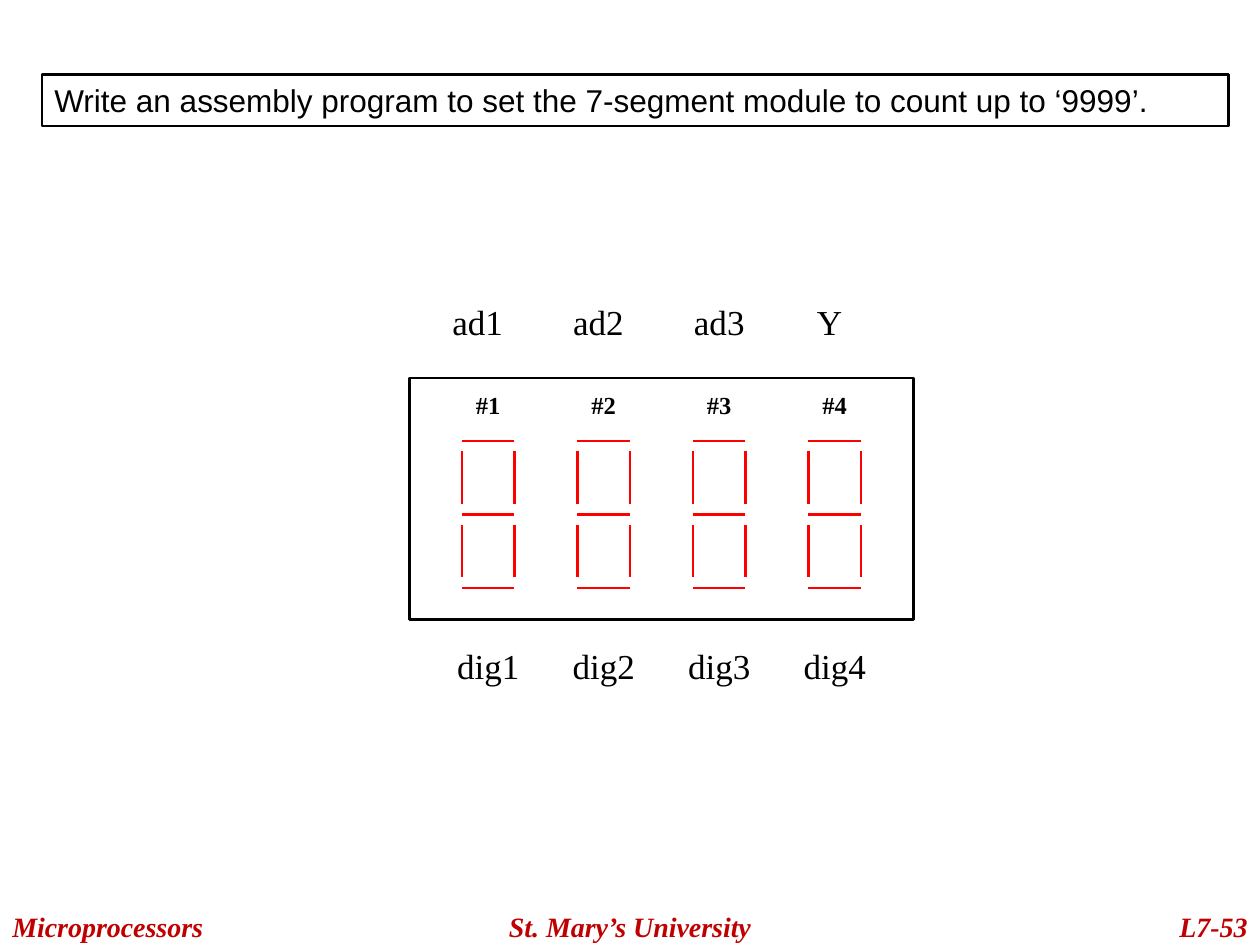
from dataclasses import dataclass

from lxml import etree
from pptx import Presentation
from pptx.dml.color import RGBColor
from pptx.enum import shapes, text
from pptx.oxml.ns import qn
from pptx.util import Pt


@dataclass(frozen=True)
class Theme:
    black: RGBColor = RGBColor(0, 0, 0)
    white: RGBColor = RGBColor(255, 255, 255)
    segment: RGBColor = RGBColor(255, 0, 0)
    footer: RGBColor = RGBColor(192, 0, 0)
    serif: str = "Times New Roman"
    sans: str = "Arial"
    label_size: int = 20
    question_size: int = 18
    footer_size: int = 16
    number_size: int = 14
    line_width: float = 1.5


THEME = Theme()
ALIGN = text.PP_ALIGN


def write(sp, words, size, color=THEME.black, name=THEME.serif,
          align=ALIGN.CENTER, bold=False, italic=False, spacing=None):
    tf = sp.text_frame
    tf.word_wrap = True
    tf.vertical_anchor = text.MSO_ANCHOR.TOP
    p = tf.paragraphs[0]
    p.text = words
    p.alignment = align
    p.line_spacing = spacing
    p.font.name = name
    p.font.size = Pt(size)
    p.font.bold = bold
    p.font.italic = italic
    p.font.color.rgb = color


def add_label(s, words, x, y, w, h, size, **style):
    sp = s.shapes.add_textbox(Pt(x), Pt(y), Pt(w), Pt(h))
    write(sp, words, size, **style)


def add_frame(s, x, y, w, h):
    sp = s.shapes.add_shape(shapes.MSO_SHAPE.RECTANGLE, Pt(x), Pt(y), Pt(w), Pt(h))
    sp.shadow.inherit = False
    sp.fill.background()
    sp.line.color.rgb = THEME.black
    sp.line.width = Pt(THEME.line_width)
    return sp


def add_question(s, x, y, w, h):
    write(add_frame(s, x, y, w, h),
          "Write an assembly program to set the 7-segment module to count up to ‘9999’.",
          THEME.question_size, name=THEME.sans, align=ALIGN.LEFT, spacing=Pt(21.6))


def add_digit(s, x, y, w, h):
    """Group three horizontal and four vertical segments into one digit."""
    gap = 6
    half = h / 2
    bars = [(x, y + i * half, x + w, y + i * half) for i in range(3)]
    posts = [(x + dx, top + gap, x + dx, top + half - gap)
             for top in (y, y + half) for dx in (0, w)]
    group = s.shapes.add_group_shape()
    for ends in bars + posts:
        line = group.shapes.add_connector(shapes.MSO_CONNECTOR.STRAIGHT, *map(Pt, ends))
        line.line.color.rgb = THEME.segment
        line.line.width = Pt(THEME.line_width)
        etree.SubElement(line._element.spPr, qn("a:effectLst"))


def add_module(s, x, y, w, h):
    """Draw the four-digit display with address labels above and names below."""
    frame = add_frame(s, x, y, w, h)
    frame.fill.solid()
    frame.fill.fore_color.rgb = THEME.white
    digit_w, pitch = 30, 66
    addresses = [("ad1", 15), ("ad2", 84), ("ad3", 153), ("Y", 216)]
    for i, (address, address_x) in enumerate(addresses):
        left = x + 30 + i * pitch
        add_digit(s, left, y + 36, digit_w, 84)
        add_label(s, f"#{i + 1}", left, y + 6, digit_w, 21.6,
                  THEME.number_size, bold=True, spacing=0.85)
        add_label(s, address, x + address_x, y - 48, 48, 31.5, THEME.label_size)
        add_label(s, f"dig{i + 1}", left - 12, y + h + 10.5, 54, 31.5,
                  THEME.label_size)


def add_footer(s, x, y, w, h):
    parts = [("Microprocessors", 0, 144, ALIGN.LEFT),
             ("St. Mary’s University", 246, 228, ALIGN.CENTER),
             ("L7-53", w - 114, 114, ALIGN.RIGHT)]
    for words, dx, part_w, align in parts:
        add_label(s, words, x + dx, y, part_w, h, THEME.footer_size,
                  color=THEME.footer, align=align, bold=True, italic=True)


def main():
    prs = Presentation()
    prs.slide_width, prs.slide_height = Pt(720), Pt(540)
    s = prs.slides.add_slide(prs.slide_layouts[6])
    add_footer(s, 0, 516, 720, 24)
    add_module(s, 234, 216, 288, 138)
    add_question(s, 24, 42.5, 678, 29.5)
    prs.save("out.pptx")


if __name__ == "__main__":
    main()
